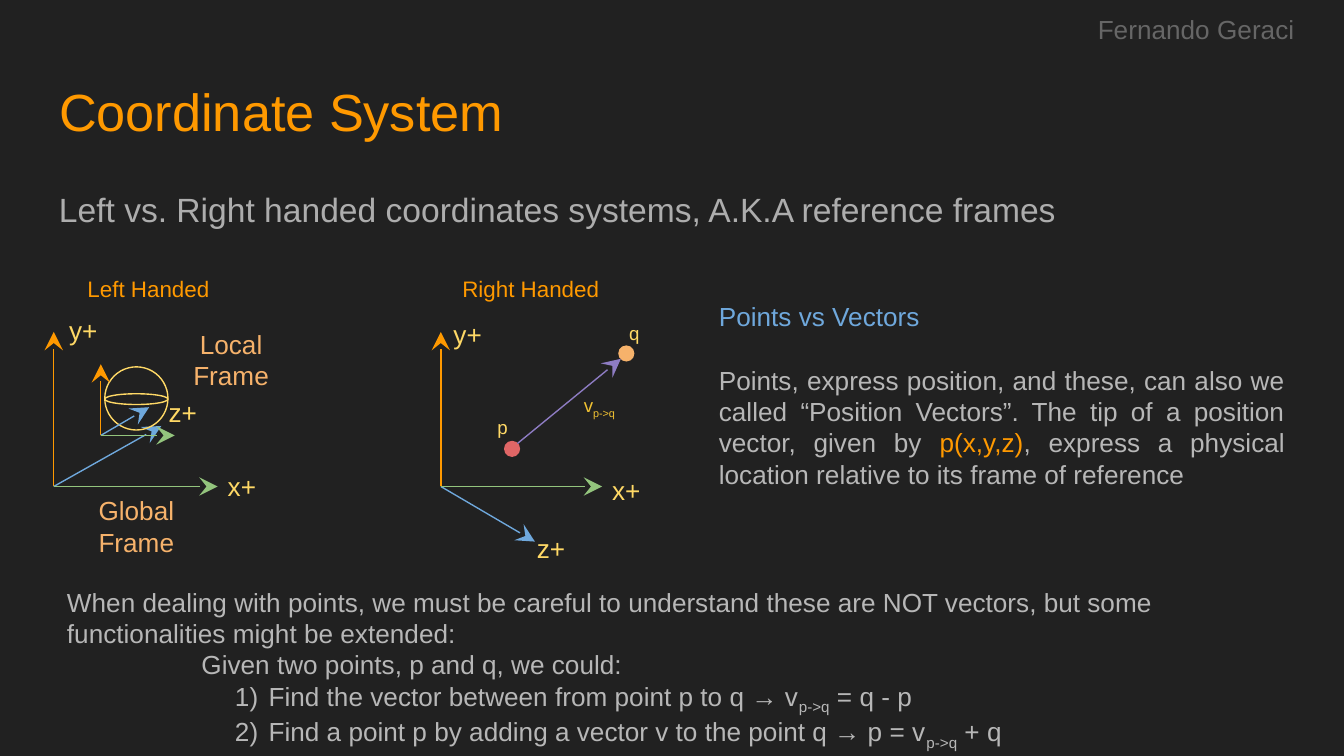
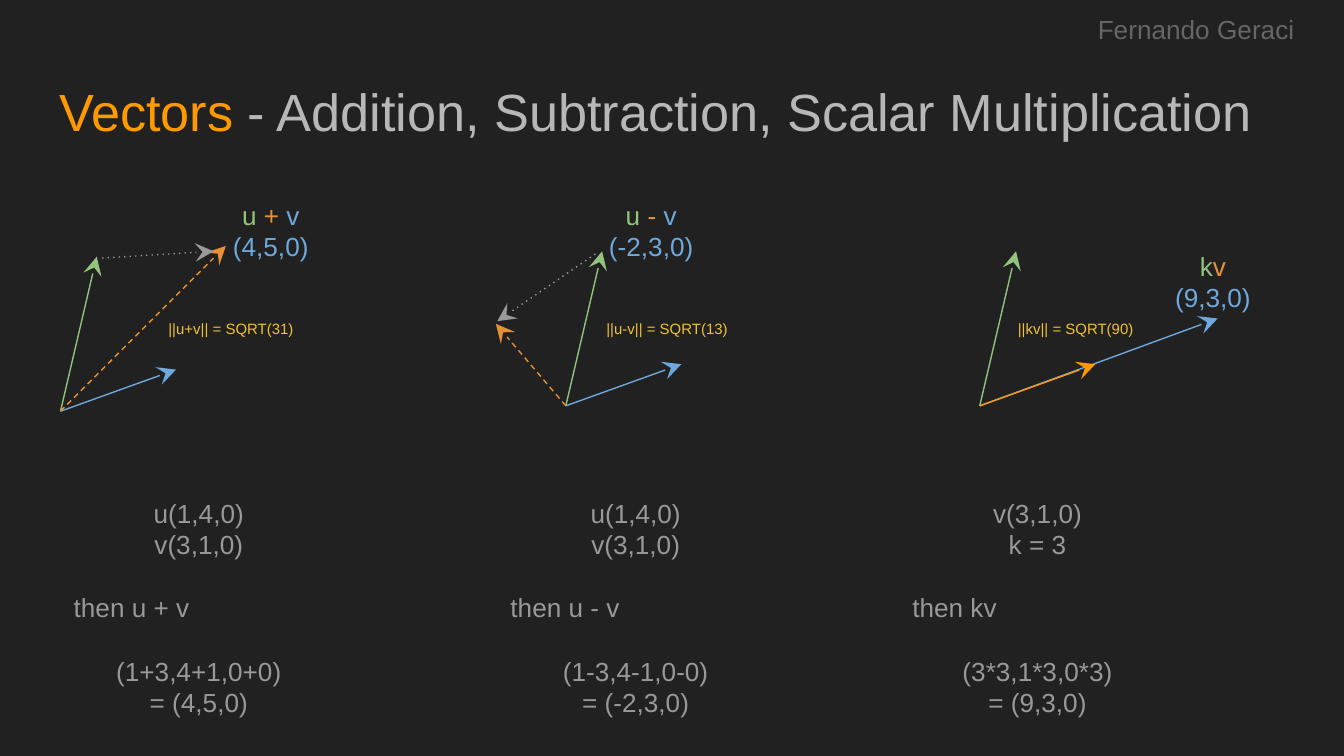
"""Builds two slides on coordinate systems and vector arithmetic."""
from lxml import etree
from pptx import Presentation
from pptx.dml.color import RGBColor
from pptx.enum.shapes import MSO_CONNECTOR, MSO_SHAPE
from pptx.enum.text import MSO_ANCHOR, MSO_AUTO_SIZE, PP_ALIGN
from pptx.oxml.ns import qn
from pptx.util import Inches, Pt

FONT = "Arial"
LEFT, CENTER, JUSTIFY = PP_ALIGN.LEFT, PP_ALIGN.CENTER, PP_ALIGN.JUSTIFY
TOP, MIDDLE, BOTTOM = MSO_ANCHOR.TOP, MSO_ANCHOR.MIDDLE, MSO_ANCHOR.BOTTOM
STRAIGHT, OVAL = MSO_CONNECTOR.STRAIGHT, MSO_SHAPE.OVAL
SUBSCRIPT = "-25000"
TITLE_ONLY = 5

COLORS = {
    "background": "212121",
    "orange": "FF9900",
    "result": "E69138",
    "peach": "F6B26B",
    "red": "E06666",
    "yellow": "FFD966",
    "gold": "F1C232",
    "green": "93C47D",
    "blue": "6FA8DC",
    "purple": "8E7CC3",
    "subtitle": "ADADAD",
    "body": "B7B7B7",
    "muted": "999999",
    "author": "666666",
}

U, V = (0.27, -1.15), (0.86, -0.31)


def rgb(name):
    """Return the named colour."""
    return RGBColor.from_string(COLORS[name])


def write_paragraph(p, runs, size, align=LEFT):
    """Write runs given as (text, colour) or (text, colour, baseline)."""
    p.alignment = align
    p.font.name, p.font.size = FONT, Pt(size)
    same_color = len({run[1] for run in runs}) == 1
    if same_color:
        p.font.color.rgb = rgb(runs[0][1])
    for text, color, *baseline in runs:
        r = p.add_run()
        r.text = text
        if not same_color:
            r.font.color.rgb = rgb(color)
        if baseline:
            r._r.get_or_add_rPr().set("baseline", baseline[0])


def set_frame(tf, anchor):
    """Set wrapping, insets and anchor of a text frame."""
    tf.word_wrap = True
    tf.auto_size = MSO_AUTO_SIZE.NONE
    tf.vertical_anchor = anchor
    tf.margin_left = tf.margin_right = Inches(0.1)
    tf.margin_top = tf.margin_bottom = Inches(0.1)


def add_text(s, at, paragraphs, size=14, align=CENTER, anchor=MIDDLE):
    """Add a text box and return its text frame."""
    tf = s.shapes.add_textbox(*map(Inches, at)).text_frame
    set_frame(tf, anchor)
    for i, runs in enumerate(paragraphs):
        p = tf.add_paragraph() if i else tf.paragraphs[0]
        write_paragraph(p, runs, size, align)
    return tf


def add_label(s, left, top, text, color="yellow", size=14):
    """Add a short label of the standard size."""
    add_text(s, (left, top, 0.56, 0.37), [[(text, color)]], size)


def add_arrow(s, start, end, color, dash="solid"):
    """Add a straight arrow with a stealth head."""
    c = s.shapes.add_connector(STRAIGHT, *map(Inches, (*start, *end)))
    c.line.color.rgb = rgb(color)
    c.line.width = Pt(0.75)
    ln = c.line._get_or_add_ln()
    etree.SubElement(ln, qn("a:prstDash"), val=dash)
    etree.SubElement(ln, qn("a:tailEnd"), type="stealth", w="lg", len="lg")
    etree.SubElement(c._element.spPr, qn("a:effectLst"))


def add_ellipse(s, at, line=None, fill=None):
    """Add an ellipse that is outlined or filled."""
    sp = s.shapes.add_shape(OVAL, *map(Inches, at))
    sp.shadow.inherit = False
    if fill:
        sp.fill.solid()
        sp.fill.fore_color.rgb = rgb(fill)
    else:
        sp.fill.background()
    if line:
        sp.line.color.rgb = rgb(line)
        sp.line.width = Pt(0.75)
    else:
        sp.line.fill.background()


def add_axes(s, origin, x, y, z):
    """Draw three axes; x and y are lengths and z is an offset."""
    ox, oy = origin
    add_arrow(s, origin, (ox, oy - y), "orange")
    add_arrow(s, origin, (ox + z[0], oy + z[1]), "blue")
    add_arrow(s, origin, (ox + x, oy), "green")


def indent(p, left, hanging=0):
    """Indent a paragraph and return its properties."""
    pPr = p._p.get_or_add_pPr()
    pPr.set("marL", str(Inches(left)))
    pPr.set("indent", str(-Inches(hanging)))
    return pPr


def number(p):
    """Number a paragraph as 1), 2) and so on."""
    bullet = etree.Element(qn("a:buAutoNum"), type="arabicParenR")
    pPr = indent(p, 1.5, 0.25)
    pPr.find(qn("a:defRPr")).addprevious(bullet)


def new_slide(prs, title_runs):
    """Add a slide with the shared background, title and author."""
    s = prs.slides.add_slide(prs.slide_layouts[TITLE_ONLY])
    s.background.fill.solid()
    s.background.fill.fore_color.rgb = rgb("background")
    title = s.shapes.title
    title.left, title.top = Inches(0.34), Inches(0.49)
    title.width, title.height = Inches(9.32), Inches(0.63)
    set_frame(title.text_frame, TOP)
    write_paragraph(title.text_frame.paragraphs[0], title_runs, 28)
    add_text(s, (7.8, 0, 2.2, 0.46), [[("Fernando Geraci", "author")]], anchor=TOP)
    return s


def add_left_handed(s):
    """Draw the left-handed global and local frames."""
    add_text(s, (0.5, 2, 1.21, 0.3), [[("Left Handed", "orange")]], 12)
    add_axes(s, (0.4, 3.62), 1.22, 1.15, (0.8, -0.45))
    add_label(s, 0.34, 2.27, "y+")
    add_label(s, 1.52, 3.43, "x+")
    add_label(s, 1.08, 2.88, "z+")
    add_ellipse(s, (0.78, 2.73, 0.47, 0.47), line="yellow")
    add_axes(s, (0.75, 3.24), 0.55, 0.53, (0.36, -0.21))
    add_text(s, (0.41, 3.81, 1.21, 0.21), [[("Global Frame", "peach")]])
    add_text(s, (1.2, 2.57, 1.04, 0.21), [[("Local Frame", "peach")]])
    add_ellipse(s, (0.78, 2.93, 0.47, 0.08), line="yellow")


def add_right_handed(s):
    """Draw the right-handed frame with the points p and q."""
    add_text(s, (3.28, 2, 1.34, 0.3), [[("Right Handed", "orange")]], 12)
    add_axes(s, (3.28, 3.62), 1.2, 1.15, (0.7, 0.41))
    add_label(s, 3.2, 2.3, "y+")
    add_label(s, 4.38, 3.46, "x+")
    add_label(s, 3.82, 3.89, "z+")
    add_ellipse(s, (3.75, 3.28, 0.12, 0.12), fill="red")
    add_ellipse(s, (4.6, 2.57, 0.12, 0.12), fill="peach")
    add_arrow(s, (3.85, 3.3), (4.62, 2.67), "purple")
    add_label(s, 3.46, 2.99, "p", size=10)
    add_label(s, 4.44, 2.29, "q", size=10)
    add_text(s, (4.18, 2.84, 0.56, 0.37),
             [[("v", "gold"), ("p->q", "gold", SUBSCRIPT)]], 10)


def build_coordinates(prs):
    """Build the slide on coordinate systems."""
    s = new_slide(prs, [("Coordinate System", "orange")])
    subtitle = "Left vs. Right handed coordinates systems, A.K.A reference frames"
    tf = add_text(s, (0.34, 1.26, 9.32, 3.74), [[(subtitle, "subtitle")]], 18, LEFT, TOP)
    tf.paragraphs[0].line_spacing = 1.15
    add_left_handed(s)
    add_right_handed(s)

    tf = add_text(s, (5.25, 1.85, 4.41, 2.18), [
        [("Points vs Vectors", "blue")],
        [("Points, express position, and these, can also we called “Position "
          "Vectors”. The tip of a position vector, given by ", "body"),
         ("p(x,y,z)", "orange"),
         (", express a physical location relative to its frame of reference", "body")],
    ], align=JUSTIFY)
    tf.paragraphs[0].space_after = Pt(17)

    subscript = ("p->q", "body", SUBSCRIPT)
    tf = add_text(s, (0.4, 4.26, 9.25, 1.37), [
        [("When dealing with points, we must be careful to understand these are "
          "NOT vectors, but some functionalities might be extended:", "body")],
        [("Given two points, p and q, we could:", "body")],
        [("Find the vector between from point p to q → v", "body"),
         subscript, (" = q - p", "body")],
        [("Find a point p by adding a vector v to the point q → p = v", "body"),
         subscript, (" + q", "body")],
    ], align=LEFT, anchor=TOP)
    indent(tf.paragraphs[1], 1)
    for p in tf.paragraphs[2:]:
        number(p)


def add_vector(s, origin, offset, color, dash="solid"):
    """Draw a vector from its origin."""
    end = (origin[0] + offset[0], origin[1] + offset[1])
    add_arrow(s, origin, end, color, dash)


def add_calculation(s, left, givens, then, steps):
    """Add one worked calculation."""
    lines = [*givens, then, *steps]
    tf = add_text(s, (left, 3.19, 2.06, 2.19),
                  [[(line, "muted")] for line in lines], anchor=BOTTOM)
    tf.margin_bottom = Inches(0.04)
    then_p, first_step = tf.paragraphs[2:4]
    then_p.alignment = LEFT
    then_p.space_before = first_step.space_before = Pt(17)


def add_result(s, left, top, paragraphs):
    """Label the tip of a resulting vector."""
    add_text(s, (left, top, 1.11, 0.35), paragraphs)


def add_length(s, left, width, text):
    """Label the length of a resulting vector."""
    add_text(s, (left, 2.27, width, 0.35), [[(text, "gold")]], 8)


def build_vectors(prs):
    """Build the slide on vector arithmetic."""
    s = new_slide(prs, [("Vectors ", "orange"),
                        ("- Addition, Subtraction, Scalar Multiplication", "body")])

    plus, minus, scale = (0.45, 3.06), (4.21, 3.02), (7.29, 3.02)
    add_vector(s, scale, (1.77, -0.65), "blue")
    for origin, color in ((plus, "blue"), (minus, "blue"), (scale, "orange")):
        add_vector(s, origin, U, "green")
        add_vector(s, origin, V, color)
    add_vector(s, plus, (1.23, -1.23), "result", "dash")
    add_vector(s, minus, (-0.52, -0.61), "result", "dash")
    add_arrow(s, (0.76, 1.92), (1.59, 1.87), "muted", "dot")
    add_arrow(s, (4.43, 1.89), (3.7, 2.39), "muted", "dot")

    for left, sign, total in ((1.46, "+ ", "(4,5,0)"), (4.29, "- ", "(-2,3,0)")):
        add_result(s, left, 1.54, [[("u ", "green"), (sign, "result"),
                                    ("v " + total, "blue")]])
    add_result(s, 8.47, 1.92, [[("k", "green"), ("v", "result")], [("(9,3,0)", "blue")]])

    add_length(s, 1.12, 1.23, "||u+v|| = SQRT(31) ")
    add_length(s, 4.35, 1.26, "||u-v|| = SQRT(13) ")
    add_length(s, 7.39, 1.26, "||kv|| = SQRT(90) ")

    u, v = "u(1,4,0)", "v(3,1,0)"
    add_calculation(s, 0.45, (u, v), "then u + v", ("(1+3,4+1,0+0)", "= (4,5,0)"))
    add_calculation(s, 3.7, (u, v), "then u - v", ("(1-3,4-1,0-0)", "= (-2,3,0)"))
    add_calculation(s, 6.69, (v, "k = 3"), "then kv", ("(3*3,1*3,0*3)", "= (9,3,0)"))


def main():
    """Build and save the presentation."""
    prs = Presentation()
    prs.slide_width = Inches(10)
    prs.slide_height = prs.slide_width * 9 // 16
    build_coordinates(prs)
    build_vectors(prs)
    prs.save("out.pptx")


if __name__ == "__main__":
    main()
